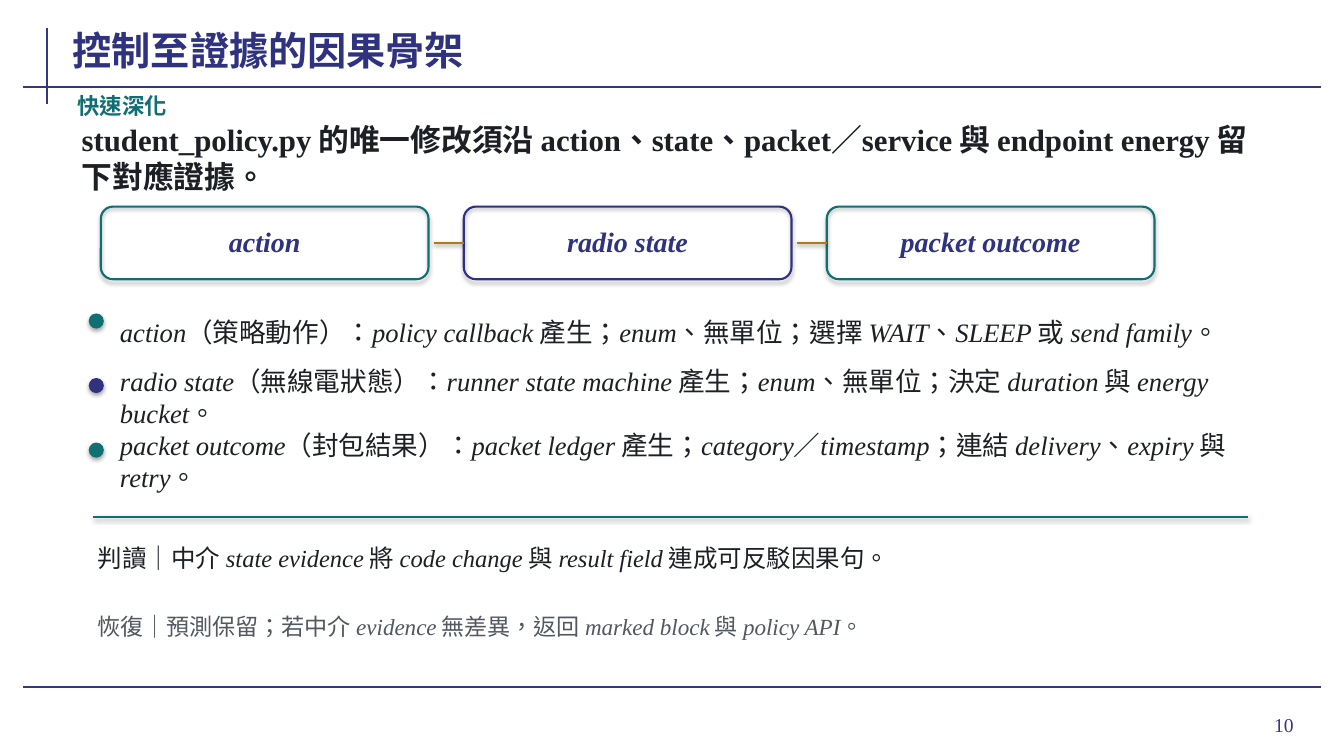
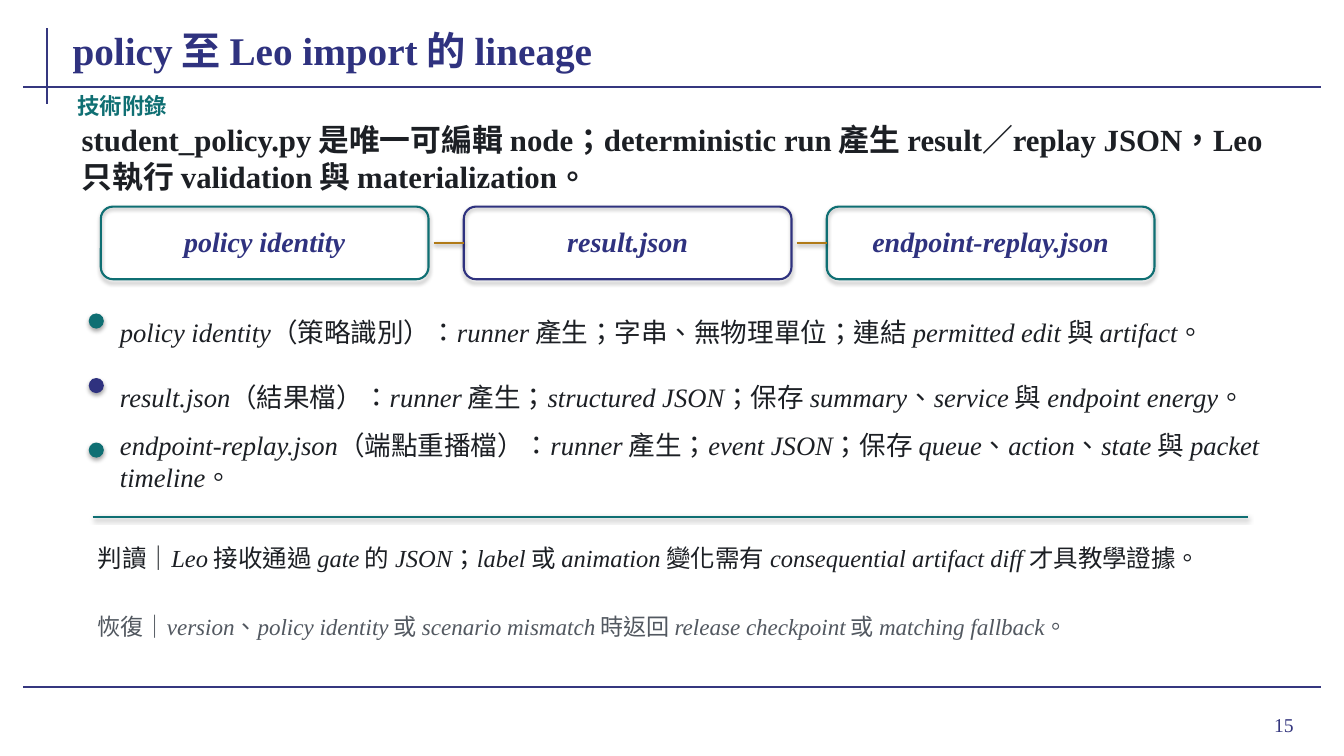
import collections
import itertools

import lxml.etree
import pptx
import pptx.dml.color
import pptx.enum.shapes
import pptx.enum.text
import pptx.oxml.ns
import pptx.util

SLIDE_COLUMNS, SLIDE_ROWS = 133.3, 75
UNIT = pptx.util.Inches(0.1)
COLORS = {
    "frame": "35377F",
    "navy": "2F327F",
    "teal": "0F6F73",
    "gold": "B07A17",
    "ink": "1C1F24",
    "gray": "525860",
    "shadow": "000000",
}
LATIN_FONT, CJK_FONT = "Times New Roman", "Noto Sans CJK SC"
ACCENTS = ("teal", "navy", "teal")
SHAPES = pptx.enum.shapes.MSO_SHAPE
ALIGN = pptx.enum.text.PP_ALIGN
ANCHOR = pptx.enum.text.MSO_ANCHOR
Box = collections.namedtuple("Box", "left top width height")

SLIDE_BOX = Box(0, 0, SLIDE_COLUMNS, SLIDE_ROWS)
HEADER_BOX = Box(7.2, 2, 119.9, 17.2)
FLOW_BOX = Box(10, 20.5, 104.5, 7.2)
TERMS_BOX = Box(8.8, 30, 117.1, 18.7)
NOTES_BOX = Box(9.2, 51.3, 114.6, 13.7)

LESSONS = [
    {
        "number": "10",
        "title": "控制至證據的因果骨架",
        "tag": "快速深化",
        "claim": "student_policy.py 的唯一修改須沿 action、state、packet／service 與 endpoint energy 留下對應證據。",
        "flow": ["action", "radio state", "packet outcome"],
        "terms": [
            "action（策略動作）：policy callback 產生；enum、無單位；選擇 WAIT、SLEEP 或 send family。",
            "radio state（無線電狀態）：runner state machine 產生；enum、無單位；決定 duration 與 energy bucket。",
            "packet outcome（封包結果）：packet ledger 產生；category／timestamp；連結 delivery、expiry 與 retry。",
        ],
        "reading": "判讀｜中介 state evidence 將 code change 與 result field 連成可反駁因果句。",
        "recovery": "恢復｜預測保留；若中介 evidence 無差異，返回 marked block 與 policy API。",
    },
    {
        "number": "15",
        "title": "policy 至 Leo import 的 lineage",
        "tag": "技術附錄",
        "claim": "student_policy.py 是唯一可編輯 node；deterministic run 產生 result／replay JSON，Leo 只執行 validation 與 materialization。",
        "flow": ["policy identity", "result.json", "endpoint-replay.json"],
        "terms": [
            "policy identity（策略識別）：runner 產生；字串、無物理單位；連結 permitted edit 與 artifact。",
            "result.json（結果檔）：runner 產生；structured JSON；保存 summary、service 與 endpoint energy。",
            "endpoint-replay.json（端點重播檔）：runner 產生；event JSON；保存 queue、action、state 與 packet timeline。",
        ],
        "reading": "判讀｜Leo 接收通過 gate 的 JSON；label 或 animation 變化需有 consequential artifact diff 才具教學證據。",
        "recovery": "恢復｜version、policy identity 或 scenario mismatch 時返回 release checkpoint 或 matching fallback。",
    },
]


def within(box, left, top, width, height):
    return Box(box.left + left, box.top + top, width, height)


def grid(*lengths):
    return [round(length * UNIT) for length in lengths]


def color(name):
    return pptx.dml.color.RGBColor.from_string(COLORS[name])


def split_scripts(text):
    def is_latin(index):
        if text[index] != " ":
            return text[index].isascii()
        return text[index - 1].isascii() and text[index + 1].isascii()

    for latin, indexes in itertools.groupby(range(len(text)), is_latin):
        yield latin, "".join(text[index] for index in indexes)


def add_effects(properties, opacity=None, distance=0):
    effects = lxml.etree.SubElement(properties, pptx.oxml.ns.qn("a:effectLst"))
    if opacity is None:
        return
    shadow = lxml.etree.SubElement(
        effects,
        pptx.oxml.ns.qn("a:outerShdw"),
        blurRad=str(pptx.util.Pt(3.1)),
        dist=str(pptx.util.Pt(distance)),
        dir="5400000",
        rotWithShape="0",
    )
    tint = lxml.etree.SubElement(shadow, pptx.oxml.ns.qn("a:srgbClr"), val=COLORS["shadow"])
    lxml.etree.SubElement(tint, pptx.oxml.ns.qn("a:alpha"), val=str(opacity * 1000))


def add_text(slide, box, text, size, tint, bold=False, italic=False,
             align=ALIGN.LEFT, anchor=ANCHOR.MIDDLE, inset=0.5):
    frame = slide.shapes.add_textbox(*grid(*box)).text_frame
    frame.word_wrap = True
    frame.vertical_anchor = anchor
    margin = round(inset * UNIT)
    frame.margin_left = frame.margin_right = margin
    frame.margin_top = frame.margin_bottom = margin
    paragraph = frame.paragraphs[0]
    paragraph.alignment = align
    for latin, words in split_scripts(text):
        run = paragraph.add_run()
        run.text = words
        run.font.size = pptx.util.Pt(size)
        run.font.bold = bold
        run.font.italic = italic and latin
        run.font.color.rgb = color(tint)
        run.font.name = LATIN_FONT if latin else CJK_FONT
        properties = run._r.get_or_add_rPr()
        properties.set("lang", "en-US" if latin else "zh-TW")
        lxml.etree.SubElement(properties, pptx.oxml.ns.qn("a:ea"), typeface=CJK_FONT)


def add_line(slide, start, end, tint, width=1.5, shadowed=False):
    line = slide.shapes.add_connector(
        pptx.enum.shapes.MSO_CONNECTOR.STRAIGHT, *grid(*start, *end))
    line.line.color.rgb = color(tint)
    line.line.width = pptx.util.Pt(width)
    add_effects(line._element.spPr, 38 if shadowed else None, 1.6)
    return line


def add_shape(slide, preset, box, fill=None, outline=None):
    shape = slide.shapes.add_shape(preset, *grid(*box))
    if fill:
        shape.fill.solid()
        shape.fill.fore_color.rgb = color(fill)
    else:
        shape.fill.background()
    if outline:
        shape.line.color.rgb = color(outline)
        shape.line.width = pptx.util.Pt(1.5)
    else:
        shape.line.fill.background()
    add_effects(shape._element.spPr, 35, 1.8)
    return shape


def draw_frame(slide, box, number):
    left, right = box.left + 2.3, box.left + box.width - 2.3
    spine = box.left + 4.7
    add_line(slide, (spine, box.top + 2.8), (spine, box.top + 10.3), "frame")
    for rule in (8.6, 68.2):
        add_line(slide, (left, box.top + rule), (right, box.top + rule), "frame")
    add_text(slide, within(box, 119.6, 69.3, 9.7, 5.2), number, 14, "frame",
             align=ALIGN.RIGHT, inset=1)


def draw_header(slide, box, lesson):
    add_text(slide, within(box, 0, 0, 103.5, 5.3), lesson["title"], 28, "navy",
             bold=True, anchor=ANCHOR.BOTTOM, inset=0)
    add_text(slide, within(box, 0, 7.1, 15.5, 2.7), lesson["tag"], 16, "teal", bold=True)
    add_text(slide, within(box, 0.4, 10, box.width - 0.4, 7.2), lesson["claim"], 22, "ink",
             bold=True)


def draw_flow(slide, box, stages):
    gap = 3.5
    width = (box.width - gap * (len(stages) - 1)) / len(stages)
    middle = box.top + box.height / 2
    for index, (stage, accent) in enumerate(zip(stages, ACCENTS)):
        card_box = within(box, index * (width + gap), 0, width, box.height)
        card = add_shape(slide, SHAPES.ROUNDED_RECTANGLE, card_box, outline=accent)
        add_text(slide, within(card_box, 0.8, 0.5, width - 1.6, box.height - 1.4),
                 stage, 20, "navy", bold=True, italic=True, align=ALIGN.CENTER)
        if index:
            link = add_line(slide, (card_box.left - gap + 0.5, middle),
                            (card_box.left, middle), "gold", shadowed=True)
            link.end_connect(card, 1)


def draw_terms(slide, box, terms):
    row, dot = 6.4, 1.5
    for index, (term, accent) in enumerate(zip(terms, ACCENTS)):
        add_shape(slide, SHAPES.OVAL, within(box, 0, index * row + 1.1, dot, dot), fill=accent)
        add_text(slide, within(box, 2.6, index * row, box.width - 2.6, 5.9), term, 19, "ink",
                 italic=True)


def draw_notes(slide, box, lesson):
    add_line(slide, (box.left, box.top), (box.left + box.width, box.top), "teal", 1.6,
             shadowed=True)
    add_text(slide, within(box, 0, 0.5, box.width, 7), lesson["reading"], 17.5, "ink",
             italic=True)
    add_text(slide, within(box, 0, 7.9, box.width, 5.8), lesson["recovery"], 16.5, "gray",
             italic=True)


def draw_lesson(deck, lesson):
    slide = deck.slides.add_slide(deck.slide_layouts[6])
    draw_frame(slide, SLIDE_BOX, lesson["number"])
    draw_header(slide, HEADER_BOX, lesson)
    draw_flow(slide, FLOW_BOX, lesson["flow"])
    draw_terms(slide, TERMS_BOX, lesson["terms"])
    draw_notes(slide, NOTES_BOX, lesson)


def main():
    deck = pptx.Presentation()
    deck.slide_width, deck.slide_height = grid(SLIDE_COLUMNS, SLIDE_ROWS)
    for lesson in LESSONS:
        draw_lesson(deck, lesson)
    deck.save("out.pptx")


if __name__ == "__main__":
    main()
